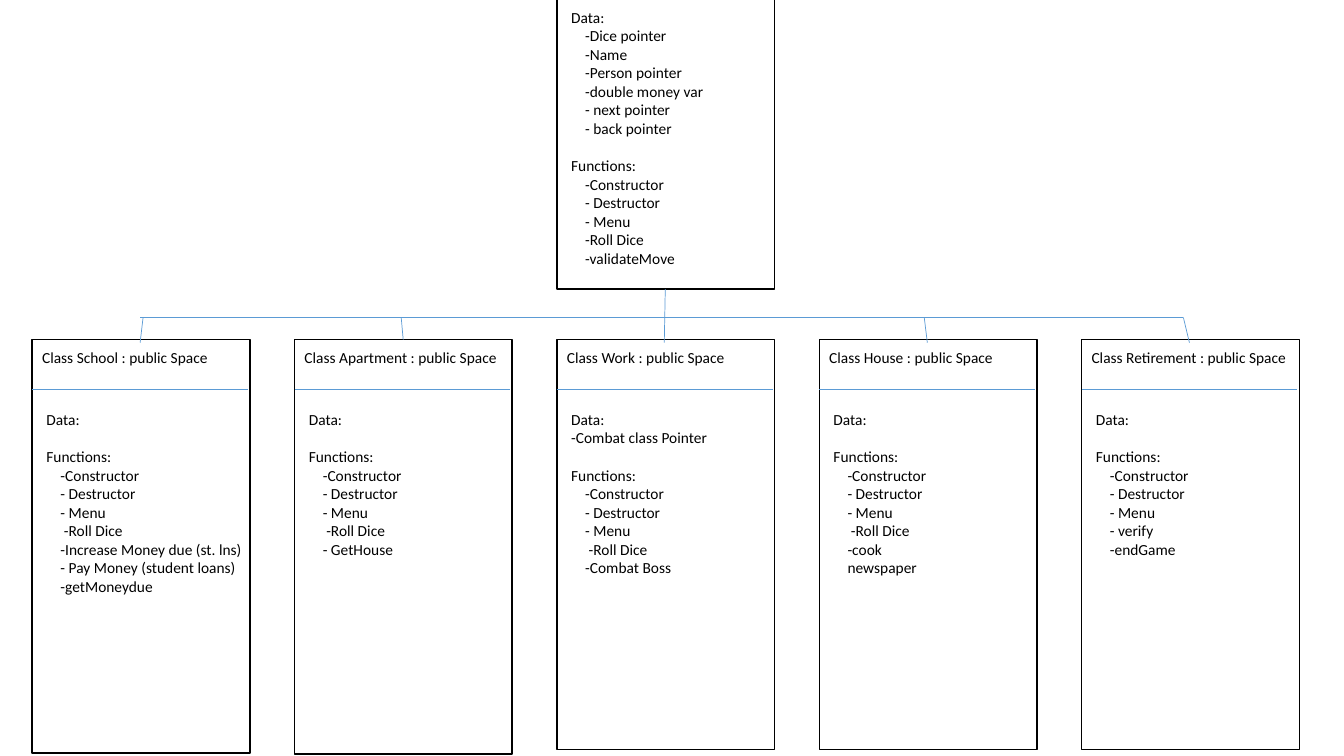
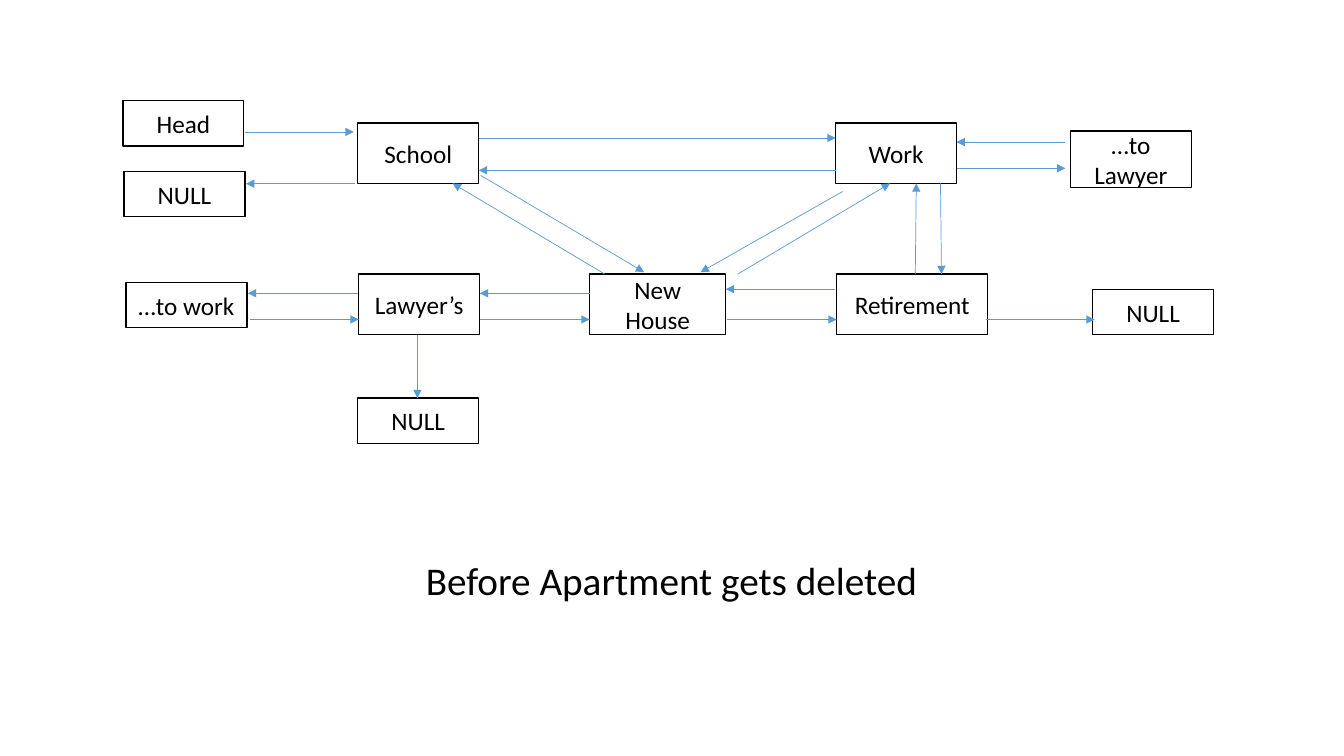
"""Build two slides: a class hierarchy and a linked map of board spaces."""
from lxml import etree
from pptx import Presentation
from pptx.dml.color import RGBColor
from pptx.enum.shapes import MSO_CONNECTOR, MSO_SHAPE
from pptx.enum.text import MSO_ANCHOR, MSO_AUTO_SIZE, PP_ALIGN
from pptx.oxml.ns import qn
from pptx.util import Pt

RECTANGLE = MSO_SHAPE.RECTANGLE
STRAIGHT = MSO_CONNECTOR.STRAIGHT
LEFT, CENTER = PP_ALIGN.LEFT, PP_ALIGN.CENTER
TOP, MIDDLE = MSO_ANCHOR.TOP, MSO_ANCHOR.MIDDLE
FIXED = MSO_AUTO_SIZE.NONE
BLACK = RGBColor(0, 0, 0)
BLUE = RGBColor(0x5B, 0x9B, 0xD5)
FONT = "Calibri"
TITLE_ONLY, BLANK = 5, 6


class Diagram:
    """Hold the style and the current slide."""

    def __init__(self):
        self.deck = Presentation()
        self.deck.slide_width, self.deck.slide_height = Pt(960), Pt(540)
        self.page = None

    def new_page(self, layout):
        self.page = self.deck.slides.add_slide(self.deck.slide_layouts[layout])

    def fill_text(self, shape, lines, size, align=LEFT, anchor=TOP):
        frame = shape.text_frame
        frame.text = "\n".join(lines)
        frame.word_wrap = True
        frame.auto_size = FIXED
        frame.vertical_anchor = anchor
        frame.margin_left = frame.margin_right = Pt(7.2)
        frame.margin_top = frame.margin_bottom = Pt(3.6)
        for para in frame.paragraphs:
            para.alignment = align
            for span in para.runs:
                span.font.name = FONT
                span.font.size = Pt(size)
                span.font.color.rgb = BLACK
        return frame.paragraphs

    def title(self, text, left, top, width, height):
        box = self.page.shapes.title
        box.left, box.top, box.width, box.height = map(Pt, (left, top, width, height))
        self.fill_text(box, [text], 28, CENTER)

    def text(self, lines, left, top, width, height):
        box = self.page.shapes.add_textbox(*map(Pt, (left, top, width, height)))
        return self.fill_text(box, lines, 11)

    def box(self, left, top, width, height, label=""):
        shape = self.page.shapes.add_shape(RECTANGLE, *map(Pt, (left, top, width, height)))
        shape.shadow.inherit = False
        shape.fill.background()
        shape.line.color.rgb = BLACK
        shape.line.width = Pt(1)
        if label:
            self.fill_text(shape, [label], 18, CENTER, MIDDLE)

    def line(self, x1, y1, x2, y2, arrow=False):
        link = self.page.shapes.add_connector(STRAIGHT, *map(Pt, (x1, y1, x2, y2)))
        link.line.color.rgb = BLUE
        link.line.width = Pt(0.5)
        properties = link._element.spPr
        etree.SubElement(properties, qn("a:effectLst"))
        if arrow:
            etree.SubElement(properties.find(qn("a:ln")), qn("a:tailEnd"), type="triangle")

    def members(self, left, top, data, functions):
        lines = ["Data:", *data, "Functions:", *functions]
        paras = self.text(lines, left + 3.1, top, 161.3, 13.4 * (len(lines) + 1) + 7.2)
        heading = len(data) + 1
        paras[heading].space_before = Pt(13.4)
        for para in paras:
            if para.text not in FLUSH:
                para._p.get_or_add_pPr().set("marL", str(Pt(10)))

    def class_card(self, left, height, name, data, functions):
        self.box(left, 242.6, 155.5, height)
        self.line(left, 278.3, left + 154.1, 278.3)
        self.text([f"Class {name} : public Space"], left, 244.8, 154.1, 22)
        self.members(left, 289.4, data, functions)


FLUSH = ("Data:", "Functions:", "-Combat class Pointer")
BASICS = ["-Constructor", "- Destructor", "- Menu"]
ROLLING = [*BASICS, " -Roll Dice"]
CLASSES = [
    ("School", 295.2, [], [*ROLLING, "-Increase Money due (st. lns)",
                           "- Pay Money (student loans)", "-getMoneydue"]),
    ("Apartment", 295.9, [], [*ROLLING, "- GetHouse"]),
    ("Work", 293, ["-Combat class Pointer"], [*ROLLING, "-Combat Boss"]),
    ("House", 293, [], [*ROLLING, "-cook", "newspaper"]),
    ("Retirement", 293, [], [*BASICS, "- verify", "-endGame"]),
]
FIRST_LEFT, CLASS_STEP = 23, 187.4
SPACE_LEFT = FIRST_LEFT + 2 * CLASS_STEP
BRANCH_Y = 226.8
BRANCHES = [
    (475.2, 206.6, 474.5, 244.8),
    (100.1, BRANCH_Y, 845.3, BRANCH_Y),
    (100.1, 244.8, 102.2, BRANCH_Y),
    (845.3, BRANCH_Y, 849.6, 244.8),
    (288, 242.6, 286.6, BRANCH_Y),
    (662.4, 244.8, 660.2, BRANCH_Y),
]

UPPER, LOWER = 87.8, 195.8
UPPER_EDGE = UPPER + 43.2
LOWER_EDGE = LOWER + 43.2
FORWARD, BACK = 228.2, 209.5
SPACES = [
    ("School", 255.6, UPPER, 86.4, 43.2),
    ("Work", 596.9, UPPER, 86.4, 43.2),
    ("Lawyer’s", 256.3, LOWER, 86.4, 43.2),
    ("New House", 421.2, LOWER, 97.2, 43.2),
    ("Retirement", 597.6, LOWER, 108, 43.2),
    ("Head", 87.8, 72, 86.4, 32.4),
    ("NULL", 88.6, 122.4, 86.4, 32.4),
    ("NULL", 255.6, 284.4, 86.4, 32.4),
    ("…to Lawyer", 764.6, 93.6, 86.4, 40.3),
    ("…to work", 90, 201.6, 86.4, 32.4),
    ("NULL", 780.5, 206.6, 86.4, 32.4),
]
LEVEL_ARROWS = [
    (175, 252.7, 94.3),
    (253.4, 175.7, 131.2),
    (342, 596.9, 98.6),
    (596.9, 342, 121.7),
    (683.3, 761, 120.2),
    (761, 683.3, 101.5),
    (178.6, 256.3, FORWARD),
    (255.6, 177.1, BACK),
    (342.7, 421.2, FORWARD),
    (421.2, 342.7, BACK),
    (519.1, 597.6, FORWARD),
    (596.2, 518.4, 206.6),
    (704.2, 781.9, FORWARD),
]
CROSS_ARROWS = [
    (432, LOWER, 323.3, UPPER_EDGE),
    (343.4, 125.3, 460.1, 194.4),
    (527, LOWER, 635.8, UPPER_EDGE),
    (601.9, 136.8, 500.4, 194.4),
    (671.8, UPPER_EDGE, 672.5, LOWER),
    (653.8, LOWER, 654.5, UPPER_EDGE),
    (298.1, LOWER_EDGE, 298.1, 284.4),
]

diagram = Diagram()

diagram.new_page(BLANK)
diagram.box(SPACE_LEFT, -36, 155.5, 242.6)
diagram.members(
    SPACE_LEFT, 2.2,
    ["-Dice pointer", "-Name", "-Person pointer", "-double money var",
     "- next pointer", "- back pointer"],
    [*BASICS, "-Roll Dice", "-validateMove"])
for index, (name, height, data, functions) in enumerate(CLASSES):
    diagram.class_card(FIRST_LEFT + index * CLASS_STEP, height, name, data, functions)
for branch in BRANCHES:
    diagram.line(*branch)

diagram.new_page(TITLE_ONLY)
diagram.title("Before Apartment gets deleted", 203.8, 393.8, 551.5, 41)
for label, *bounds in SPACES:
    diagram.box(*bounds, label)
for start, end, y in LEVEL_ARROWS:
    diagram.line(start, y, end, y, arrow=True)
for ends in CROSS_ARROWS:
    diagram.line(*ends, arrow=True)

diagram.deck.save("out.pptx")
